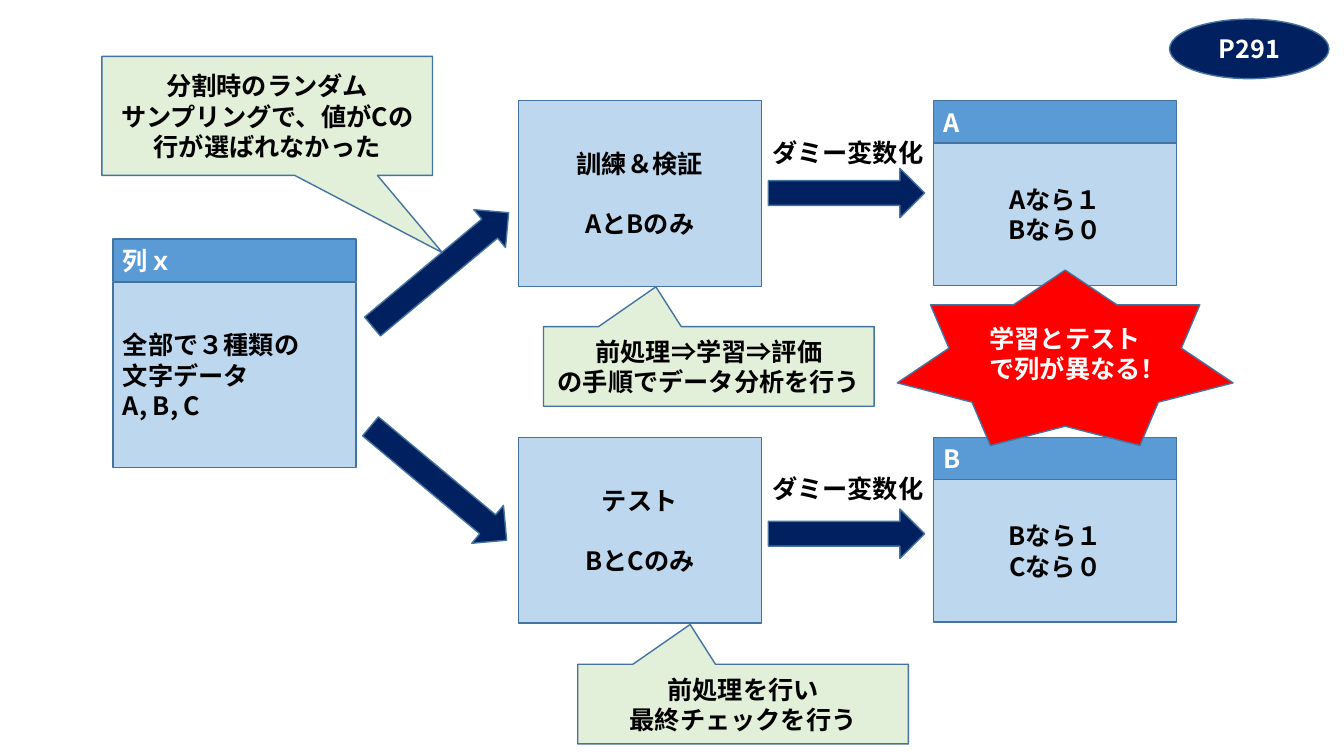
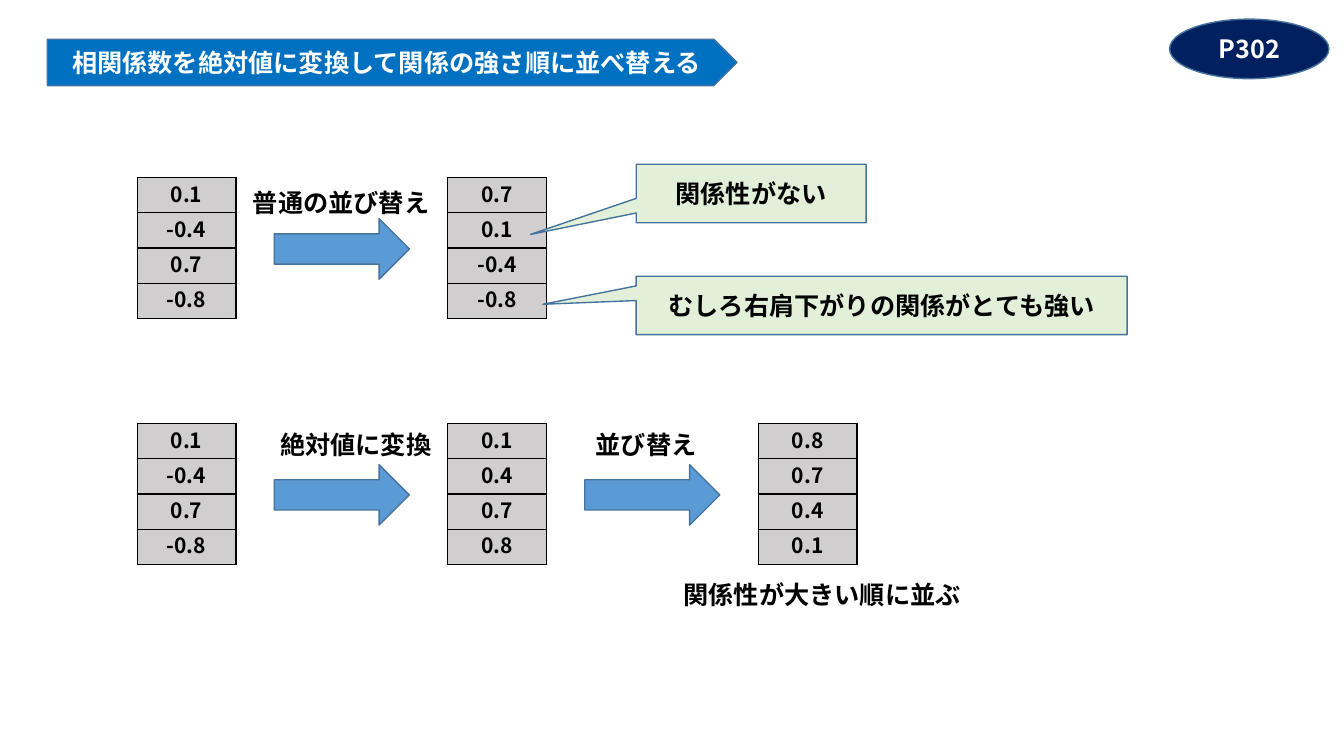
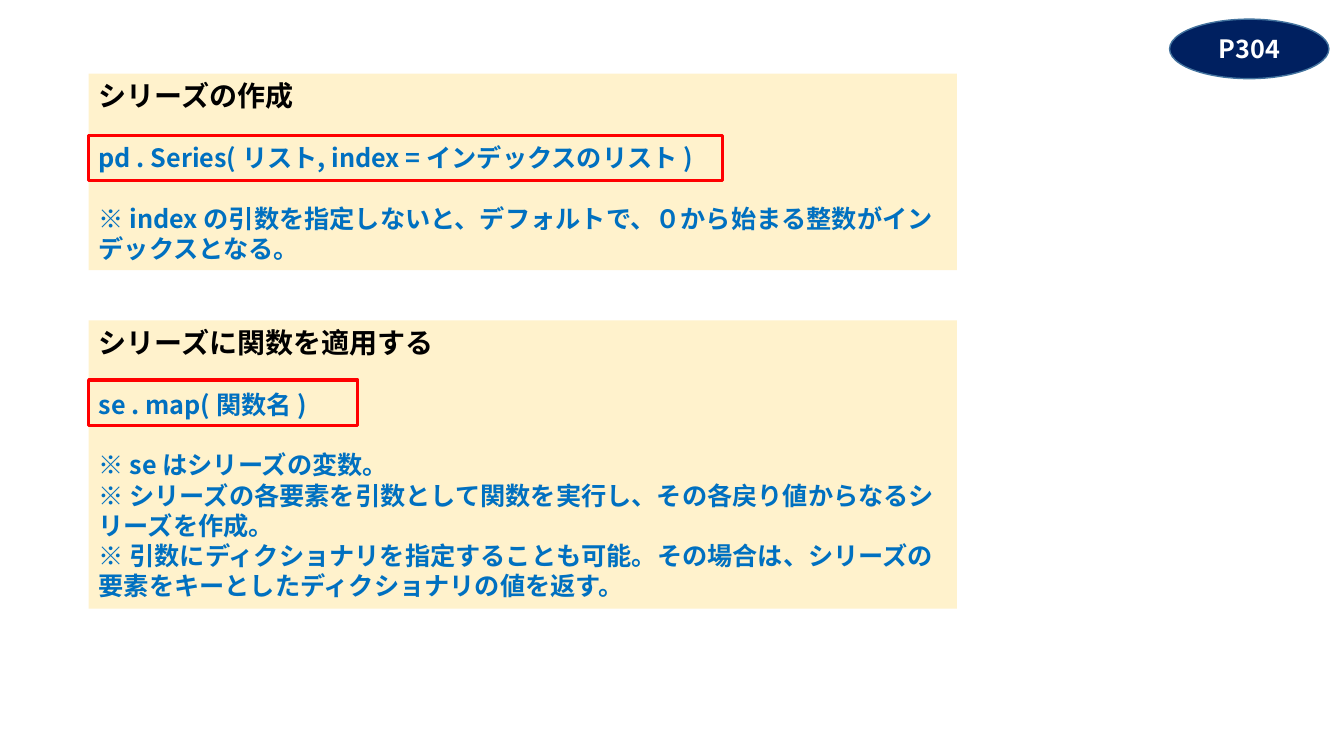
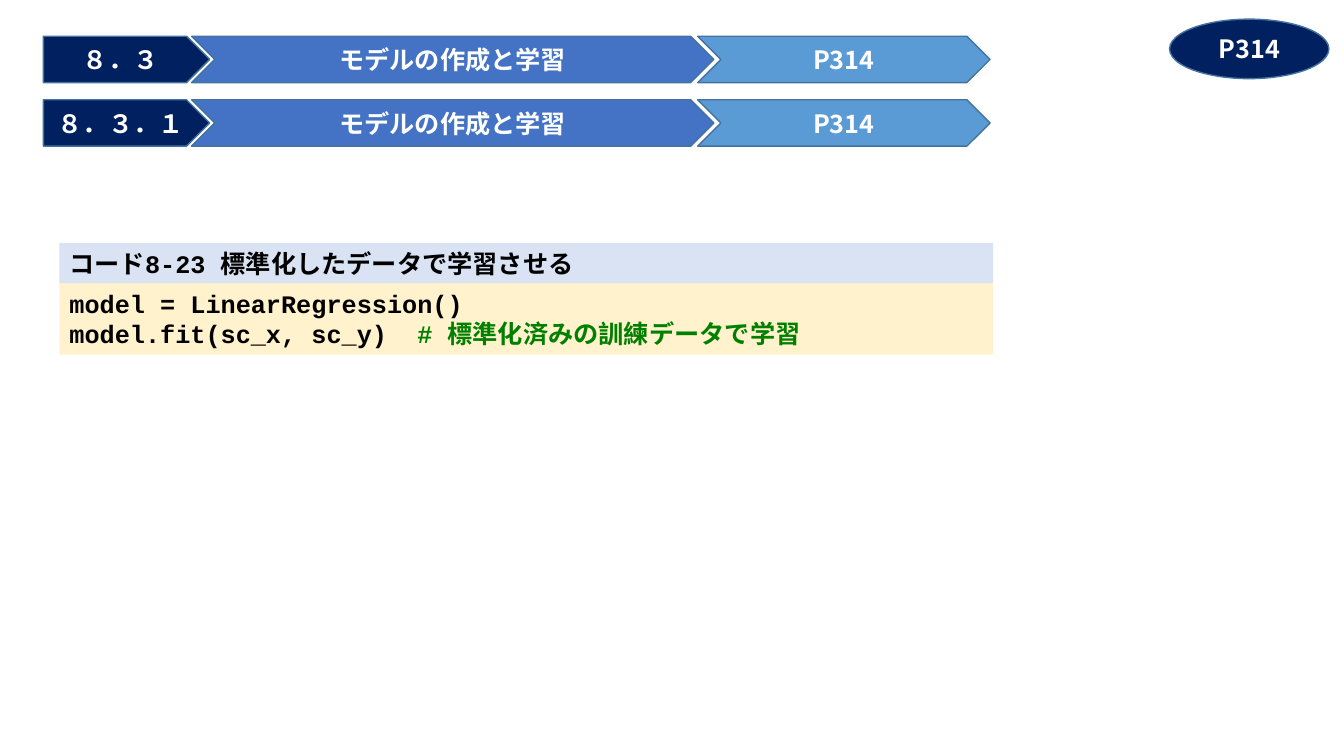
from dataclasses import dataclass
from typing import Optional

from lxml.etree import SubElement
from pptx import Presentation
from pptx.dml.color import RGBColor
from pptx.enum.shapes import MSO_SHAPE
from pptx.enum.text import MSO_ANCHOR, PP_ALIGN
from pptx.oxml.ns import qn
from pptx.slide import Slide
from pptx.text.text import TextFrame, _Paragraph
from pptx.util import Inches, Pt


# Shared colours, fonts and type sizes
@dataclass(frozen=True)
class Theme:
    navy: str = "002060"
    blue: str = "5B9BD5"
    royal: str = "4472C4"
    title: str = "0070C0"
    sky: str = "BDD7EE"
    haze: str = "DAE3F3"
    green: str = "E2F0D9"
    cream: str = "FFF2CC"
    gray: str = "D0CECE"
    red: str = "FF0000"
    comment: str = "008000"
    outline: str = "43739E"
    black: str = "000000"
    white: str = "FFFFFF"
    font: str = "Noto Sans CJK JP"
    code_font: str = "Courier New"
    heading: int = 20
    body: int = 18
    cell: int = 15
    leading: float = 1.2
    outline_width: float = 1
    frame_width: float = 2.25


THEME = Theme()
Place = tuple[float, float, float, float]


@dataclass(frozen=True)
class Line:
    """One paragraph; blank_above leaves the height of one body line."""
    text: str
    color: str = THEME.black
    size: int = THEME.body
    font: str = THEME.font
    blank_above: bool = False
    comment: str = ""


@dataclass(frozen=True)
class Part:
    """One preset shape with its text."""
    at: Place
    fill: Optional[str]
    lines: tuple[Line, ...] = ()
    kind: MSO_SHAPE = MSO_SHAPE.RECTANGLE
    outline: Optional[str] = THEME.outline
    width: float = THEME.outline_width
    align: PP_ALIGN = PP_ALIGN.CENTER
    anchor: MSO_ANCHOR = MSO_ANCHOR.MIDDLE
    turn: float = 0
    adjust: tuple[float, ...] = ()


# Drawing
def style_paragraph(para: _Paragraph, line: Line, align: PP_ALIGN) -> None:
    para.alignment = align
    para.line_spacing = Pt(line.size * THEME.leading)
    if line.blank_above:
        para.space_before = Pt(THEME.body * THEME.leading)
    font = para.font
    font.size, font.bold, font.name = Pt(line.size), True, line.font
    font.color.rgb = RGBColor.from_string(line.color)
    defaults = para._p.pPr.find(qn("a:defRPr"))
    SubElement(defaults, qn("a:ea")).set("typeface", THEME.font)


def write(frame: TextFrame, lines: tuple[Line, ...], align: PP_ALIGN) -> None:
    frame.word_wrap = True
    for index, line in enumerate(lines):
        para = frame.add_paragraph() if index else frame.paragraphs[0]
        para.add_run().text = line.text
        style_paragraph(para, line, align)
        if line.comment:
            span = para.add_run()
            span.text = line.comment
            span.font.color.rgb = RGBColor.from_string(THEME.comment)


def draw(page: Slide, *parts: Part) -> None:
    for part in parts:
        shape = page.shapes.add_shape(part.kind, *map(Inches, part.at))
        shape.shadow.inherit = False
        shape.rotation = part.turn
        for index, value in enumerate(part.adjust):
            shape.adjustments[index] = value
        if part.fill:
            shape.fill.solid()
            shape.fill.fore_color.rgb = RGBColor.from_string(part.fill)
        else:
            shape.fill.background()
        if part.outline:
            shape.line.color.rgb = RGBColor.from_string(part.outline)
            shape.line.width = Pt(part.width)
        else:
            shape.line.fill.background()
        shape.text_frame.vertical_anchor = part.anchor
        write(shape.text_frame, part.lines, part.align)


def label(page: Slide, left: float, top: float, width: float, text: str) -> None:
    box = page.shapes.add_textbox(*map(Inches, (left, top, width, 0.4)))
    write(box.text_frame, (Line(text),), PP_ALIGN.LEFT)


def number_column(page: Slide, left: float, top: float, values: str) -> None:
    width, height = 0.98, 0.35
    numbers = values.split()
    table = page.shapes.add_table(
        len(numbers), 1, Inches(left), Inches(top),
        Inches(width), Inches(height * len(numbers))).table
    table.first_row = table.horz_banding = False
    for row, number in enumerate(numbers):
        table.rows[row].height = Inches(height)
        cell = table.cell(row, 0)
        cell.margin_left = cell.margin_right = cell.margin_top = Inches(0.01)
        cell.margin_bottom = 0
        cell.vertical_anchor = MSO_ANCHOR.MIDDLE
        write(cell.text_frame, (Line(number, size=THEME.cell),), PP_ALIGN.CENTER)
        properties = cell._tc.get_or_add_tcPr()
        for side in ("a:lnL", "a:lnR", "a:lnT", "a:lnB"):
            border = SubElement(properties, qn(side))
            border.set("w", str(Pt(THEME.outline_width)))
            paint = SubElement(border, qn("a:solidFill"))
            SubElement(paint, qn("a:srgbClr")).set("val", THEME.black)
        cell.fill.solid()
        cell.fill.fore_color.rgb = RGBColor.from_string(THEME.gray)


# Recurring parts
def plain(*texts: str) -> tuple[Line, ...]:
    return tuple(Line(text) for text in texts)


def white(text: str) -> tuple[Line, ...]:
    return (Line(text, THEME.white),)


def header(left: float, top: float, text: str) -> Part:
    return Part((left, top, 2.41, 0.42), THEME.blue, white(text), align=PP_ALIGN.LEFT)


def arrow(at: Place, fill: str, turn: float = 0) -> Part:
    return Part(at, fill, kind=MSO_SHAPE.RIGHT_ARROW, turn=turn)


def callout(at: Place, tip: tuple[float, float], *texts: str) -> Part:
    return Part(at, THEME.green, plain(*texts),
                MSO_SHAPE.RECTANGULAR_CALLOUT, adjust=tip)


def panel(at: Place, fill: str, *lines: Line) -> Part:
    return Part(at, fill, lines, outline=None,
                align=PP_ALIGN.LEFT, anchor=MSO_ANCHOR.TOP)


def red_frame(top: float, width: float) -> Part:
    return Part((0.88, top, width, 0.45), None,
                outline=THEME.red, width=THEME.frame_width)


def page_badge(page: Slide, text: str) -> None:
    draw(page, Part((11.6, 0.19, 1.58, 0.59), THEME.navy, white(text), MSO_SHAPE.OVAL))


# Slides
def split_page(page: Slide) -> None:
    draw(page, header(1.12, 2.37, "列ｘ"),
         Part((1.12, 2.8, 2.41, 1.84), THEME.sky,
              plain("全部で３種類の", "文字データ", "A, B, C"), align=PP_ALIGN.LEFT))
    branches = (
        (1, "訓練＆検証", "AとBのみ", "A", ("Aなら１", "Bなら０"), 1.67, 1.31),
        (4.34, "テスト", "BとCのみ", "B", ("Bなら１", "Cなら０"), 5.05, 4.65),
    )
    for top, name, content, column, codes, arrow_top, label_top in branches:
        draw(page,
             Part((5.14, top, 2.41, 1.84), THEME.sky,
                  (Line(name), Line(content, blank_above=True))),
             header(9.26, top, column),
             Part((9.26, top + 0.42, 2.41, 1.41), THEME.sky, plain(*codes)),
             arrow((7.62, arrow_top, 1.55, 0.49), THEME.navy))
        label(page, 7.56, label_top, 1.98, "ダミー変数化")
    above = (-0.16, -1)
    draw(page,
         arrow((3.49, 2.43, 1.76, 0.49), THEME.navy, 320.1),
         arrow((3.47, 4.55, 1.76, 0.49), THEME.navy, 39.9),
         callout((1.01, 0.56, 3.28, 1.18), (0.53, 1.15),
                 "分割時のランダム", "サンプリングで、値がCの行が選ばれなかった"),
         Part((8.9, 2.68, 3.33, 1.74), THEME.red,
              white("学習とテストで列が異なる！"), MSO_SHAPE.STAR_7_POINT),
         callout((5.39, 3.24, 3.28, 0.79), above,
                 "前処理⇒学習⇒評価", "の手順でデータ分析を行う"),
         callout((5.73, 6.59, 3.28, 0.79), above,
                 "前処理を行い", "最終チェックを行う"))


def sorting_page(page: Slide) -> None:
    first, step, upper, lower = 1.36, 3.08, 1.76, 4.2
    columns = (
        (0, upper, "0.1 -0.4 0.7 -0.8"),
        (1, upper, "0.7 0.1 -0.4 -0.8"),
        (0, lower, "0.1 -0.4 0.7 -0.8"),
        (1, lower, "0.1 0.4 0.7 0.8"),
        (2, lower, "0.8 0.7 0.4 0.1"),
    )
    for position, top, values in columns:
        number_column(page, first + position * step, top, values)
    for position, top in ((0, upper), (0, lower), (1, lower)):
        draw(page, arrow((first + 1.36 + position * step, top + 0.41, 1.34, 0.6),
                         THEME.blue))
    label(page, 2.41, 1.81, 2.66, "普通の並び替え")
    label(page, 2.68, 4.21, 2.66, "絶対値に変換")
    label(page, 5.81, 4.21, 2.66, "並び替え")
    label(page, 6.68, 5.7, 4.5, "関係性が大きい順に並ぶ")
    draw(page,
         callout((6.31, 1.63, 2.28, 0.58), (-0.96, 0.7), "関係性がない"),
         callout((6.31, 2.74, 4.87, 0.58), (-0.69, -0.02),
                 "むしろ右肩下がりの関係がとても強い"),
         Part((0.47, 0.39, 6.84, 0.46), THEME.title,
              white("相関係数を絶対値に変換して関係の強さ順に並べ替える"),
              MSO_SHAPE.PENTAGON))


def series_page(page: Slide) -> None:
    def syntax_panel(top: float, height: float, heading: str,
                     syntax: str, *notes: str) -> Part:
        return panel((0.88, top, 8.61, height), THEME.cream,
                     Line(heading, size=THEME.heading),
                     Line(syntax, THEME.title, blank_above=True),
                     *(Line(note, THEME.title, blank_above=index == 0)
                       for index, note in enumerate(notes)))

    draw(page,
         syntax_panel(
             0.73, 1.95, "シリーズの作成",
             "pd . Series( リスト, index = インデックスのリスト )",
             "※ index の引数を指定しないと、デフォルトで、０から始まる整数がインデックスとなる。"),
         syntax_panel(
             3.18, 2.86, "シリーズに関数を適用する",
             "se . map( 関数名 )",
             "※ se はシリーズの変数。",
             "※ シリーズの各要素を引数として関数を実行し、その各戻り値からなるシリーズを作成。",
             "※ 引数にディクショナリを指定することも可能。その場合は、"
             "シリーズの要素をキーとしたディクショナリの値を返す。"),
         red_frame(1.34, 6.29), red_frame(3.77, 2.67))


def model_page(page: Slide) -> None:
    code = THEME.code_font
    draw(page,
         panel((0.59, 2.81, 9.26, 0.71), THEME.cream,
               Line("model = LinearRegression()", font=code),
               Line("model.fit(sc_x, sc_y)  ", font=code,
                    comment="# 標準化済みの訓練データで学習")),
         panel((0.59, 2.41, 9.26, 0.4), THEME.haze,
               Line("コード8-23 標準化したデータで学習させる", font=code)))
    for top, number in ((0.36, "８．３"), (0.99, "８．３．１")):
        steps = (
            (0.43, 1.65, MSO_SHAPE.PENTAGON, THEME.navy, number),
            (1.9, 5.18, MSO_SHAPE.CHEVRON, THEME.royal, "モデルの作成と学習"),
            (6.92, 2.9, MSO_SHAPE.CHEVRON, THEME.blue, "P314"),
        )
        for left, width, kind, fill, text in steps:
            draw(page, Part((left, top, width, 0.46), fill, white(text), kind))


def main() -> None:
    deck = Presentation()
    deck.slide_width, deck.slide_height = Inches(13.33), Inches(7.5)
    pages = ((split_page, "P291"), (sorting_page, "P302"),
             (series_page, "P304"), (model_page, "P314"))
    for build, number in pages:
        page = deck.slides.add_slide(deck.slide_layouts[6])
        build(page)
        page_badge(page, number)
    deck.save("out.pptx")


if __name__ == "__main__":
    main()
